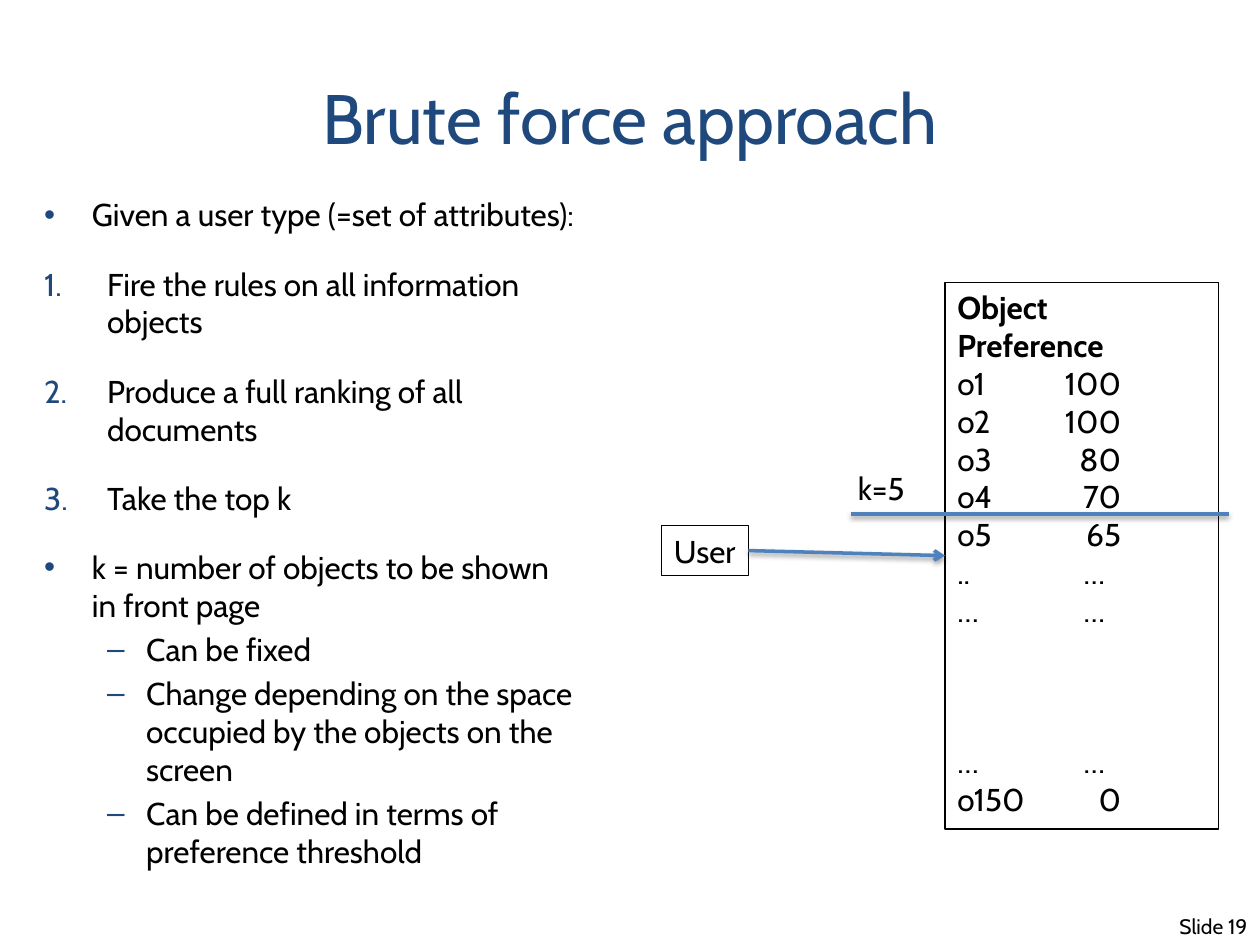
import pptx
import pptx.util
import pptx.dml.color
import pptx.enum.shapes
import pptx.enum.text
import pptx.oxml.ns
from lxml import etree

Inches, Pt = pptx.util.Inches, pptx.util.Pt
qn = pptx.oxml.ns.qn
Align = pptx.enum.text.PP_ALIGN
Anchor = pptx.enum.text.MSO_ANCHOR
Fit = pptx.enum.text.MSO_AUTO_SIZE
Tool = pptx.enum.shapes.MSO_CONNECTOR
Rect = pptx.enum.shapes.MSO_SHAPE.RECTANGLE

# Content
TITLE = "Brute force approach"
BODY = [
    ("dot", "Given a user type (=set of attributes):"),
    ("num", "Fire the rules on all information objects"),
    ("num", "Produce a full ranking of all documents"),
    ("num", "Take the top k"),
    ("dot", "k = number of objects to be shown in front page"),
    ("dash", "Can be fixed"),
    ("dash", "Change depending on the space occupied by the objects on the screen"),
    ("dash", "Can be defined in terms of preference threshold"),
]
HEAD = "Object\vPreference"
TOP = [("o1", "100"), ("o2", "100"), ("o3", "80"), ("o4", "70"), ("o5", "65"),
       ("..", "…"), ("…", "…")]
LAST = [("…", "…"), ("o150", "0")]
USER, CUT, PAGE = "User", "k=5", "Slide 19"

# Theme
THEME = {
    "font": "Cabin", "mark": "Arial",
    "ink": "000000", "blue": "1F497D", "line": "4F81BD",
    "title": 40, "text": 18, "small": 12, "edge": 0.75, "rule": 2,
}
# Indent, hanging indent, space before, level, bullet tag, bullet values, font
LISTS = {
    "dot": (0.38, 0.38, 18, 0, "a:buChar", {"char": "•"}, THEME["mark"]),
    "num": (0.5, 0.5, 18, 0, "a:buAutoNum", {"type": "arabicPeriod"}, THEME["font"]),
    "dash": (0.81, 0.31, 3.6, 1, "a:buChar", {"char": "–"}, THEME["mark"]),
}
GAP = 65


def put(obj, **vals):
    for key, val in vals.items():
        setattr(obj, key, val)


def rgb(name):
    return pptx.dml.color.RGBColor.from_string(THEME[name])


def add(node, tag, **vals):
    return etree.SubElement(node, qn(tag), vals)


def place(shape, box):
    names = ("left", "top", "width", "height")
    put(shape, **dict(zip(names, map(Inches, box))))


def write(par, text, size="text", ink="ink", bold=False, align=Align.LEFT):
    par.text = text
    par.alignment = align
    for run in par.runs:
        put(run.font, name=THEME["font"], size=Pt(THEME[size]), bold=bold)
        run.font.color.rgb = rgb(ink)


def lines(frame, count):
    while len(frame.paragraphs) < count:
        frame.add_paragraph()
    return frame.paragraphs


def bullet(par, kind):
    left, hang, space, level, tag, vals, font = LISTS[kind]
    put(par, level=level, space_before=Pt(space))
    props = par._p.get_or_add_pPr()
    props.set("marL", str(Inches(left)))
    props.set("indent", str(-Inches(hang)))
    add(add(props, "a:buClr"), "a:srgbClr", val=THEME["blue"])
    add(props, "a:buFont", typeface=font)
    add(props, tag, **vals)


def tab(par, pos):
    stops = add(par._p.get_or_add_pPr(), "a:tabLst")
    add(stops, "a:tab", pos=str(Inches(pos)), algn="r")


def label(box, text, wrap=False, **style):
    shape = slide.shapes.add_textbox(*map(Inches, box))
    put(shape.text_frame, word_wrap=wrap, auto_size=Fit.NONE)
    write(shape.text_frame.paragraphs[0], text, **style)


def frame(box, wrap):
    shape = slide.shapes.add_shape(Rect, *map(Inches, box))
    shape.shadow.inherit = False
    shape.fill.background()
    shape.line.color.rgb = rgb("ink")
    shape.line.width = Pt(THEME["edge"])
    put(shape.text_frame, word_wrap=wrap, auto_size=Fit.NONE,
        vertical_anchor=Anchor.TOP)
    return shape.text_frame


def link(start, end, arrow=False):
    wire = slide.shapes.add_connector(Tool.STRAIGHT, *map(Inches, start + end))
    wire.line.color.rgb = rgb("line")
    wire.line.width = Pt(THEME["rule"])
    if arrow:
        add(wire.line._get_or_add_ln(), "a:tailEnd", type="arrow")
    glow = add(add(wire._element.spPr, "a:effectLst"), "a:outerShdw",
               blurRad=str(Pt(3.1)), dist=str(Pt(1.6)), dir="5400000",
               rotWithShape="0")
    tint = add(glow, "a:srgbClr", val=THEME["ink"])
    add(tint, "a:alpha", val="38000")


deck = pptx.Presentation()
put(deck, slide_width=Inches(10), slide_height=Inches(7.5))
slide = deck.slides.add_slide(deck.slide_layouts[1])

# Page number
label((5.47, 7.2, 4.53, 0.3), PAGE, wrap=True, size="small", align=Align.RIGHT)

# Title and list
title, body = slide.placeholders
place(title, (0.5, 0.3, 9, 1.25))
put(title.text_frame, vertical_anchor=Anchor.MIDDLE, auto_size=Fit.NONE)
write(title.text_frame.paragraphs[0], TITLE, "title", "blue", align=Align.CENTER)

place(body, (0.25, 1.5, 4.42, 4.95))
body.text_frame.auto_size = Fit.NONE
for par, (kind, text) in zip(lines(body.text_frame, len(BODY)), BODY):
    write(par, text)
    bullet(par, kind)

# User box
write(frame((5.25, 4.17, 0.69, 0.4), False).paragraphs[0], USER)

# Ranked objects
rows = TOP + LAST
head, *pars = lines(frame((7.5, 2.24, 2.17, 4.34), True), len(rows) + 1)
write(head, HEAD, bold=True)
for num, (par, (name, score)) in enumerate(zip(pars, rows)):
    write(par, f"{name}\t{score}")
    if num == len(TOP):
        par.space_before = Pt(GAP)
    tab(par, 1.17 if score == "…" else 1.3)

# Cut-off line and arrow
link((6.75, 4.08), (9.75, 4.08))
label((6.71, 3.67, 0.62, 0.4), CUT)
link((5.94, 4.37), (7.5, 4.41), arrow=True)

deck.save("out.pptx")
